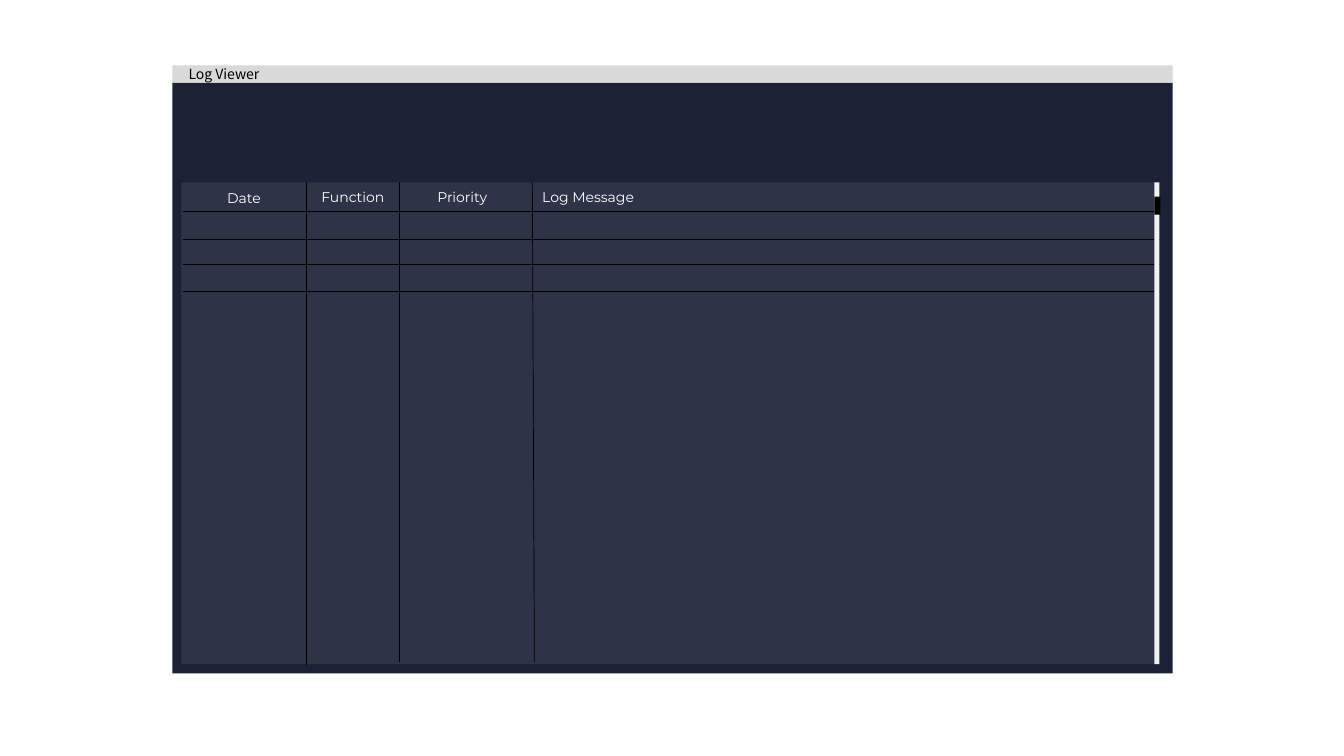
from dataclasses import dataclass

import pptx
import pptx.dml.color
import pptx.enum.shapes
import pptx.enum.text
import pptx.oxml.ns
import pptx.util
from lxml import etree

Inches = pptx.util.Inches
ALIGN = pptx.enum.text.PP_ALIGN


@dataclass
class Box:
    left: float
    top: float
    width: float
    height: float
    fill: str


@dataclass
class Line:
    x1: float
    y1: float
    x2: float
    y2: float


@dataclass
class Header:
    text: str
    left: float
    top: float
    width: float
    align: ALIGN = ALIGN.CENTER


WINDOW = Box(1.71, 0.82, 9.92, 5.86, "1C2135")
TITLE_BAR = Box(1.71, 0.65, 9.92, 0.17, "D9D9D9")
LOG_PANEL = Box(1.8, 1.81, 9.69, 4.78, "2E3347")
SCROLL_TRACK = Box(11.45, 1.81, 0.05, 4.78, "F2F2F2")
SCROLL_THUMB = Box(11.45, 1.95, 0.06, 0.18, "000000")

ROW_LINES = [Line(1.82, y, 11.51, y) for y in (2.1, 2.37, 2.62, 2.89)]
COLUMN_LINES = [
    Line(3.04, 1.81, 3.04, 6.6),
    Line(3.96, 1.81, 3.96, 6.57),
    Line(5.28, 1.81, 5.3, 6.57),
]
HEADERS = [
    Header("Date", 2.1, 1.83, 0.64),
    Header("Function", 3.06, 1.82, 0.88),
    Header("Priority", 4.19, 1.82, 0.79),
    Header("Log Message", 5.28, 1.82, 1.23, ALIGN.LEFT),
]


def rgb(value: str) -> pptx.dml.color.RGBColor:
    return pptx.dml.color.RGBColor.from_string(value)


def add_box(shapes, box: Box):
    sp = shapes.add_shape(
        pptx.enum.shapes.MSO_SHAPE.RECTANGLE,
        Inches(box.left), Inches(box.top), Inches(box.width), Inches(box.height),
    )
    sp.shadow.inherit = False
    sp.fill.solid()
    sp.fill.fore_color.rgb = rgb(box.fill)
    sp.line.fill.background()
    return sp


def add_line(shapes, line: Line) -> None:
    cxn = shapes.add_connector(
        pptx.enum.shapes.MSO_CONNECTOR.STRAIGHT,
        Inches(line.x1), Inches(line.y1), Inches(line.x2), Inches(line.y2),
    )
    cxn.line.color.rgb = rgb("000000")
    cxn.line.width = pptx.util.Pt(0.5)
    etree.SubElement(cxn._element.spPr, pptx.oxml.ns.qn("a:effectLst"))


def set_text(tf, text: str, font: str, color: str, align: ALIGN) -> None:
    p = tf.paragraphs[0]
    p.text = text
    p.alignment = align
    p.font.name = font
    p.font.size = pptx.util.Pt(10)
    p.font.color.rgb = rgb(color)


def add_header(shapes, header: Header) -> None:
    sp = shapes.add_textbox(
        Inches(header.left), Inches(header.top), Inches(header.width), Inches(0.27)
    )
    tf = sp.text_frame
    tf.word_wrap = True
    tf.auto_size = pptx.enum.text.MSO_AUTO_SIZE.SHAPE_TO_FIT_TEXT
    set_text(tf, header.text, "Montserrat", "FFFFFF", header.align)


def add_window(shapes) -> None:
    window = shapes.add_group_shape()
    add_box(window.shapes, WINDOW)
    tf = add_box(window.shapes, TITLE_BAR).text_frame
    tf.vertical_anchor = pptx.enum.text.MSO_ANCHOR.MIDDLE
    tf.margin_left = Inches(0.16)
    set_text(tf, "Log Viewer", "Noto Sans CJK KR", "000000", ALIGN.LEFT)


def main() -> None:
    prs = pptx.Presentation()
    prs.slide_width = Inches(13.33)
    prs.slide_height = Inches(7.5)
    s = prs.slides.add_slide(prs.slide_layouts[6])
    add_window(s.shapes)
    add_box(s.shapes, LOG_PANEL)
    for line in ROW_LINES + COLUMN_LINES:
        add_line(s.shapes, line)
    for header in HEADERS:
        add_header(s.shapes, header)
    for box in (SCROLL_TRACK, SCROLL_THUMB):
        add_box(s.shapes, box)
    prs.save("out.pptx")


if __name__ == "__main__":
    main()
